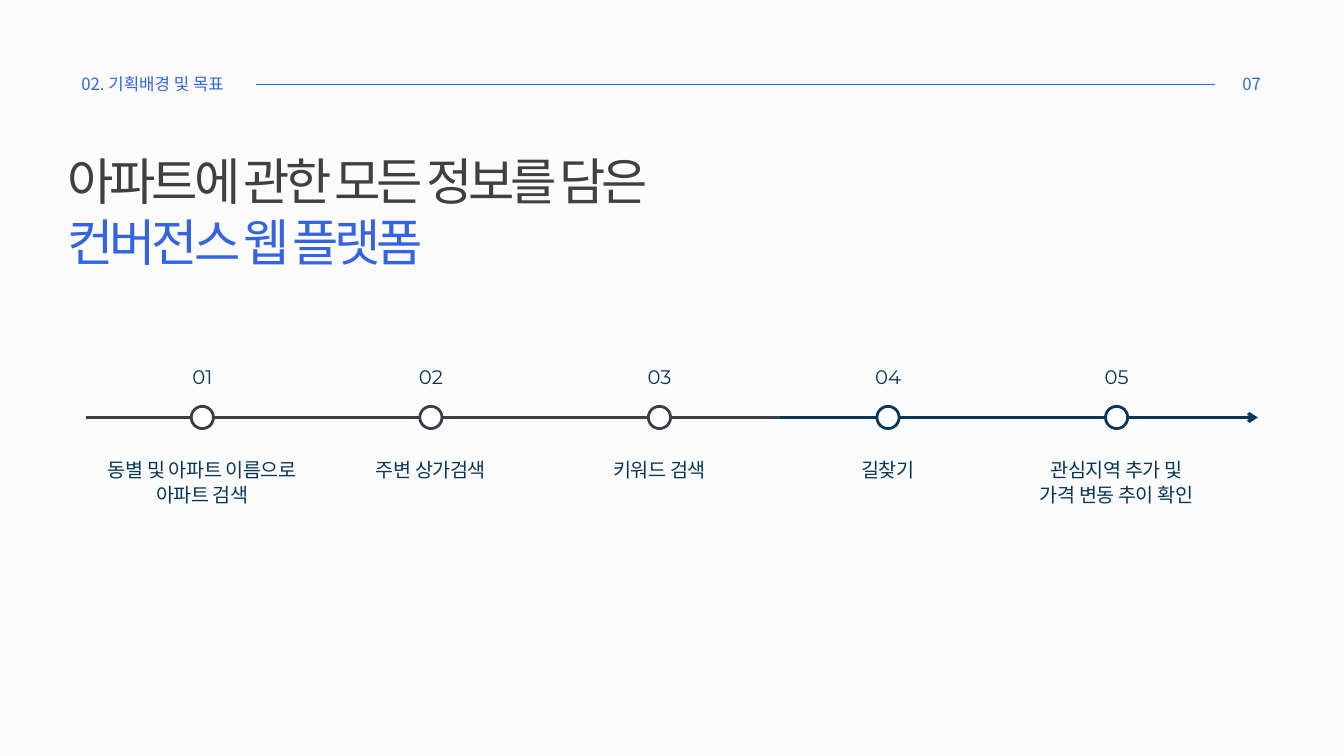
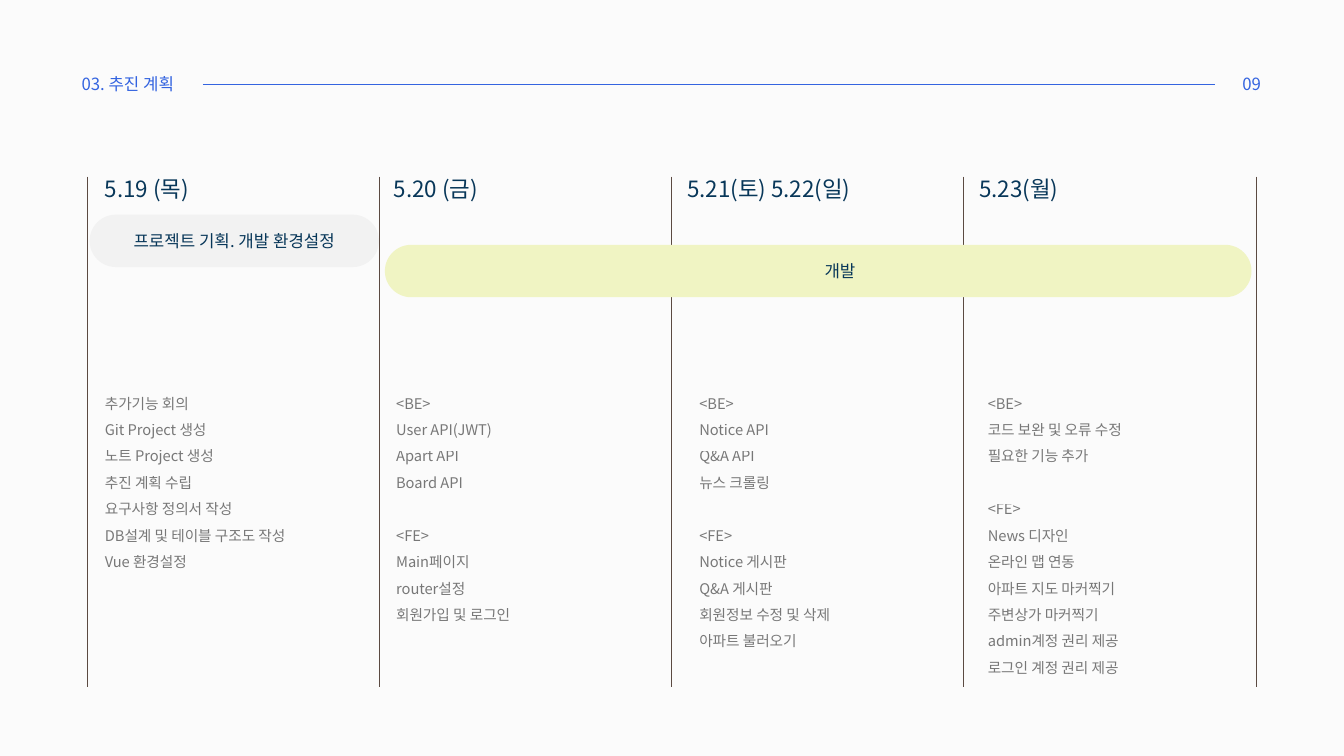
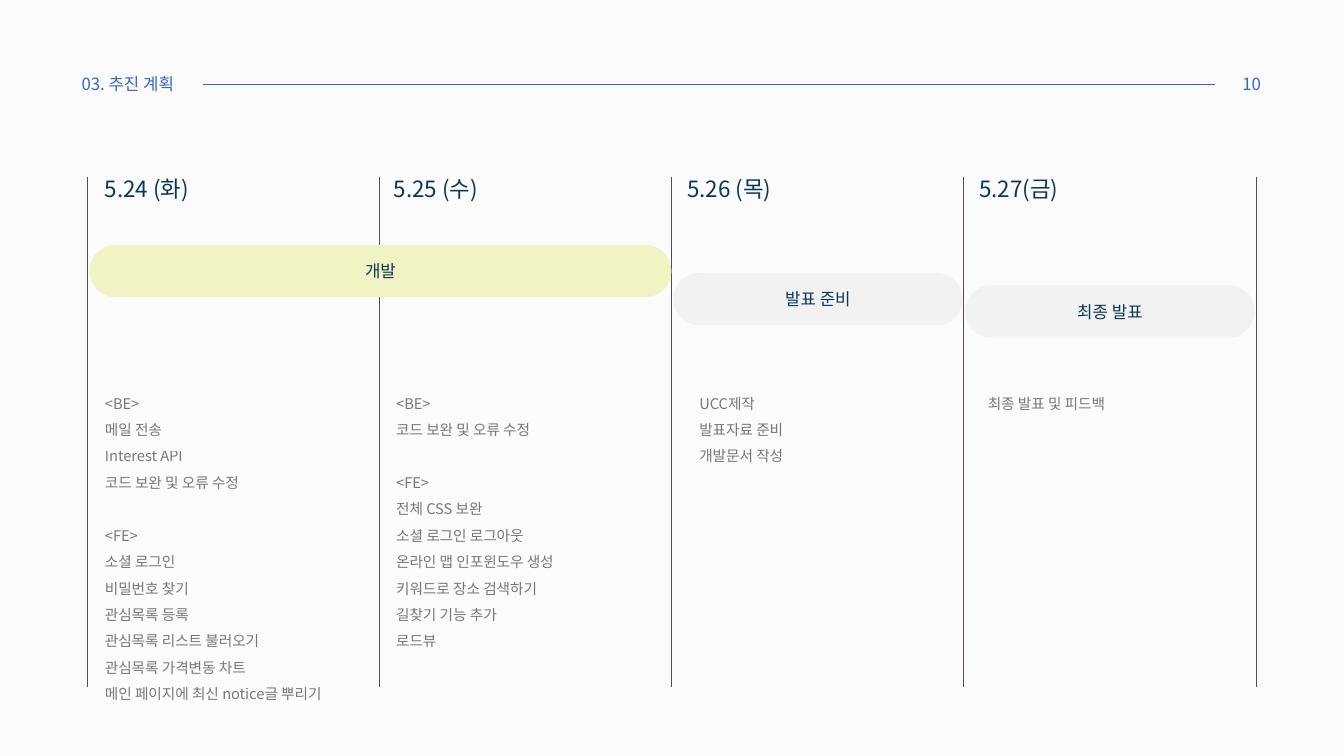
from dataclasses import dataclass

from lxml.etree import SubElement
from pptx import Presentation
from pptx.dml.color import RGBColor as RGB
from pptx.enum.shapes import MSO_CONNECTOR as Connector, MSO_SHAPE as Preset
from pptx.enum.text import MSO_ANCHOR as Anchor, MSO_AUTO_SIZE as AutoSize, PP_ALIGN as Align
from pptx.oxml.ns import qn
from pptx.util import Cm, Pt


@dataclass(frozen=True)
class Theme:
    paper: str = "FBFBFB"
    white: str = "FFFFFF"
    blue: str = "3464E0"
    navy: str = "083759"
    ink: str = "404040"
    charcoal: str = "3E3C46"
    brown: str = "5B4A42"
    grey: str = "F2F2F2"
    lime: str = "F0F4C3"
    korean: str = "Noto Sans CJK KR"
    digits: str = "Montserrat"
    headline: float = 36
    date: float = 16
    caption: float = 14
    label: float = 12
    task: float = 10.5


TITLE_ONLY, FOUR_LISTS = 5, 4
RULE_LEFT, RULE_STEP = 2.21, 7.36
DATE_OFFSETS = (0.18, 0.11, 0.14, 0.14)
LIST_OFFSETS = (0.18, 0.16, 0.44, 0.35)


class Deck:
    def __init__(self, theme):
        self.theme = theme
        self.prs = Presentation()
        self.prs.slide_width, self.prs.slide_height = Cm(33.87), Cm(19.05)
        backdrop = self.prs.slide_master.background.fill
        backdrop.solid()
        backdrop.fore_color.rgb = RGB.from_string(theme.paper)
        self.slide = None

    def new_slide(self, layout):
        self.slide = self.prs.slides.add_slide(self.prs.slide_layouts[layout])

    def styled_run(self, paragraph, text, size, color, font=None, spacing=0, alpha=None):
        run = paragraph.add_run()
        run.text = text
        run.font.size, run.font.bold = Pt(size), False
        run.font.name = font or self.theme.korean
        run.font.color.rgb = RGB.from_string(color)
        props = run.font._element
        SubElement(props, qn("a:ea")).set("typeface", self.theme.korean)
        if spacing:
            props.set("spc", str(int(spacing * 100)))
        if alpha:
            tint = props.find(qn("a:solidFill")).find(qn("a:srgbClr"))
            SubElement(tint, qn("a:alpha")).set("val", str(alpha * 1000))

    def fill_frame(self, holder, lines, size, align=Align.LEFT, leading=1.0, **style):
        frame = holder.text_frame
        frame.word_wrap, frame.auto_size = True, AutoSize.NONE
        frame.vertical_anchor = Anchor.TOP
        for i, (text, color) in enumerate(lines):
            paragraph = frame.paragraphs[0] if i == 0 else frame.add_paragraph()
            paragraph.alignment, paragraph.line_spacing = align, leading
            paragraph.space_before = Pt(0)
            self.styled_run(paragraph, text, size, color, **style)
        return frame

    def place(self, holder, left, top, width, height):
        holder.left, holder.top = Cm(left), Cm(top)
        holder.width, holder.height = Cm(width), Cm(height)
        return holder

    def text(self, box, lines, size, **style):
        holder = self.slide.shapes.add_textbox(*map(Cm, box))
        self.fill_frame(holder, lines, size, **style)

    def title(self, box, lines, size, **style):
        self.fill_frame(self.place(self.slide.shapes.title, *box), lines, size, **style)

    def line(self, x1, y1, x2, y2, color, weight, arrow=False):
        link = self.slide.shapes.add_connector(
            Connector.STRAIGHT, Cm(x1), Cm(y1), Cm(x2), Cm(y2))
        link.line.color.rgb, link.line.width = RGB.from_string(color), Pt(weight)
        if arrow:
            SubElement(link.line._get_or_add_ln(), qn("a:tailEnd")).set("type", "arrow")
        SubElement(link._element.spPr, qn("a:effectLst"))

    def shape(self, preset, box, fill):
        figure = self.slide.shapes.add_shape(preset, *map(Cm, box))
        figure.shadow.inherit = False
        figure.fill.solid()
        figure.fill.fore_color.rgb = RGB.from_string(fill)
        return figure

    def node(self, x, y, color):
        size = 0.56
        dot = self.shape(Preset.OVAL, (x - size / 2, y - size / 2, size, size),
                         self.theme.white)
        dot.line.color.rgb, dot.line.width = RGB.from_string(color), Pt(2)

    def pill(self, text, left, top, width, fill, shift=0):
        bar = self.shape(Preset.ROUNDED_RECTANGLE, (left, top, width, 1.32), fill)
        bar.adjustments[0] = 0.5
        bar.line.fill.background()
        frame = self.fill_frame(bar, [(text, self.theme.navy)], self.theme.label,
                                align=Align.CENTER)
        frame.vertical_anchor = Anchor.MIDDLE
        frame.margin_left, frame.margin_right = Cm(2 * shift), Cm(0)

    def header(self, section, number, rule_start, as_title):
        t = self.theme
        put = self.title if as_title else self.text
        put((1.8, 1.73, rule_start - 1.8, 0.76), [(section, t.blue)], t.label)
        self.line(rule_start, 2.13, 30.63, 2.13, t.blue, 1)
        self.text((31.06, 1.73, 1.2, 0.76), [(number, t.blue)], t.label)

    def tasks(self, holder, left, groups):
        t = self.theme
        lines = [(task, t.ink) for group in groups for task in group]
        height = 0.67 * (len(lines) + len(groups) - 1) + 0.25
        self.place(holder, left, 9.59, 7.1, height)
        frame = self.fill_frame(holder, lines, t.task, leading=1.5, alpha=70)
        heads = {group[0] for group in groups[1:]}
        for paragraph in frame.paragraphs:
            if paragraph.text in heads:
                paragraph.space_before = Pt(18.9)
            props = paragraph._p.get_or_add_pPr()
            props.set("marL", "0")
            props.set("indent", "0")
            SubElement(props, qn("a:buNone"))

    def timeline(self, steps):
        t = self.theme
        y, first, pitch = 10.52, 5.1, 5.76
        self.line(2.16, y, 19.66, y, t.charcoal, 2.25)
        self.line(19.66, y, 31.7, y, t.navy, 2.25, arrow=True)
        for i, step in enumerate(steps):
            x = first + i * pitch
            self.node(x, y, t.charcoal if i < 3 else t.navy)
            self.text((x - 1, 9.04, 2, 0.86), [(f"{i + 1:02}", t.navy)], t.caption,
                      align=Align.CENTER, leading=1.06, font=t.digits)
            self.text((x - pitch / 2, 11.38, pitch, 0.25 + 0.64 * len(step)),
                      [(row, t.navy) for row in step], t.caption,
                      align=Align.CENTER, leading=1.06, spacing=-0.3)

    def schedule(self, number, days, pills):
        t = self.theme
        self.new_slide(FOUR_LISTS)
        self.header("03. 추진 계획", number, 5.11, as_title=True)
        for i in range(len(days) + 1):
            x = RULE_LEFT + i * RULE_STEP
            self.line(x, 4.45, x, 17.3, t.brown, 0.5)
        for i, (date, groups) in enumerate(days):
            x = RULE_LEFT + i * RULE_STEP
            self.text((x + DATE_OFFSETS[i], 4.28, 6.5, 0.94), [(date, t.navy)], t.date)
            self.tasks(self.slide.placeholders[i + 1], x + LIST_OFFSETS[i], groups)
        for pill in pills:
            self.pill(*pill)


def main():
    t = Theme()
    deck = Deck(t)

    deck.new_slide(TITLE_ONLY)
    deck.header("02. 기획배경 및 목표", "07", 6.45, as_title=False)
    deck.title((1.45, 3.66, 18, 3.33),
               [("아파트에 관한 모든 정보를 담은", t.ink), ("컨버전스 웹 플랫폼", t.blue)],
               t.headline, spacing=-3)
    deck.timeline([
        ("동별 및 아파트 이름으로", "아파트 검색"),
        ("주변 상가검색",),
        ("키워드 검색",),
        ("길찾기",),
        ("관심지역 추가 및", "가격 변동 추이 확인"),
    ])

    deck.schedule("09", [
        ("5.19 (목)", [("추가기능 회의", "Git Project 생성", "노트 Project 생성",
                       "추진 계획 수립", "요구사항 정의서 작성",
                       "DB설계 및 테이블 구조도 작성", "Vue 환경설정")]),
        ("5.20 (금)", [("<BE>", "User API(JWT)", "Apart API", "Board API"),
                      ("<FE>", "Main페이지", "router설정", "회원가입 및 로그인")]),
        ("5.21(토) 5.22(일)", [("<BE>", "Notice API", "Q&A API", "뉴스 크롤링"),
                              ("<FE>", "Notice 게시판", "Q&A 게시판",
                               "회원정보 수정 및 삭제", "아파트 불러오기")]),
        ("5.23(월)", [("<BE>", "코드 보완 및 오류 수정", "필요한 기능 추가"),
                     ("<FE>", "News 디자인", "온라인 맵 연동", "아파트 지도 마커찍기",
                      "주변상가 마커찍기", "admin계정 권리 제공",
                      "로그인 계정 권리 제공")]),
    ], [
        ("프로젝트 기획. 개발 환경설정", 2.26, 5.41, 7.29, t.grey),
        ("개발", 9.7, 6.17, 21.84, t.lime, 0.55),
    ])

    deck.schedule("10", [
        ("5.24 (화)", [("<BE>", "메일 전송", "Interest API", "코드 보완 및 오류 수정"),
                      ("<FE>", "소셜 로그인", "비밀번호 찾기", "관심목록 등록",
                       "관심목록 리스트 불러오기", "관심목록 가격변동 차트",
                       "메인 페이지에 최신 notice글 뿌리기")]),
        ("5.25 (수)", [("<BE>", "코드 보완 및 오류 수정"),
                      ("<FE>", "전체 CSS 보완", "소셜 로그인 로그아웃",
                       "온라인 맵 인포윈도우 생성", "키워드로 장소 검색하기",
                       "길찾기 기능 추가", "로드뷰")]),
        ("5.26 (목)", [("UCC제작", "발표자료 준비", "개발문서 작성")]),
        ("5.27(금)", [("최종 발표 및 피드백",)]),
    ], [
        ("개발", 2.26, 6.17, 14.66, t.lime),
        ("발표 준비", 16.97, 6.88, 7.29, t.grey),
        ("최종 발표", 24.33, 7.19, 7.29, t.grey),
    ])

    deck.prs.save("out.pptx")


if __name__ == "__main__":
    main()
